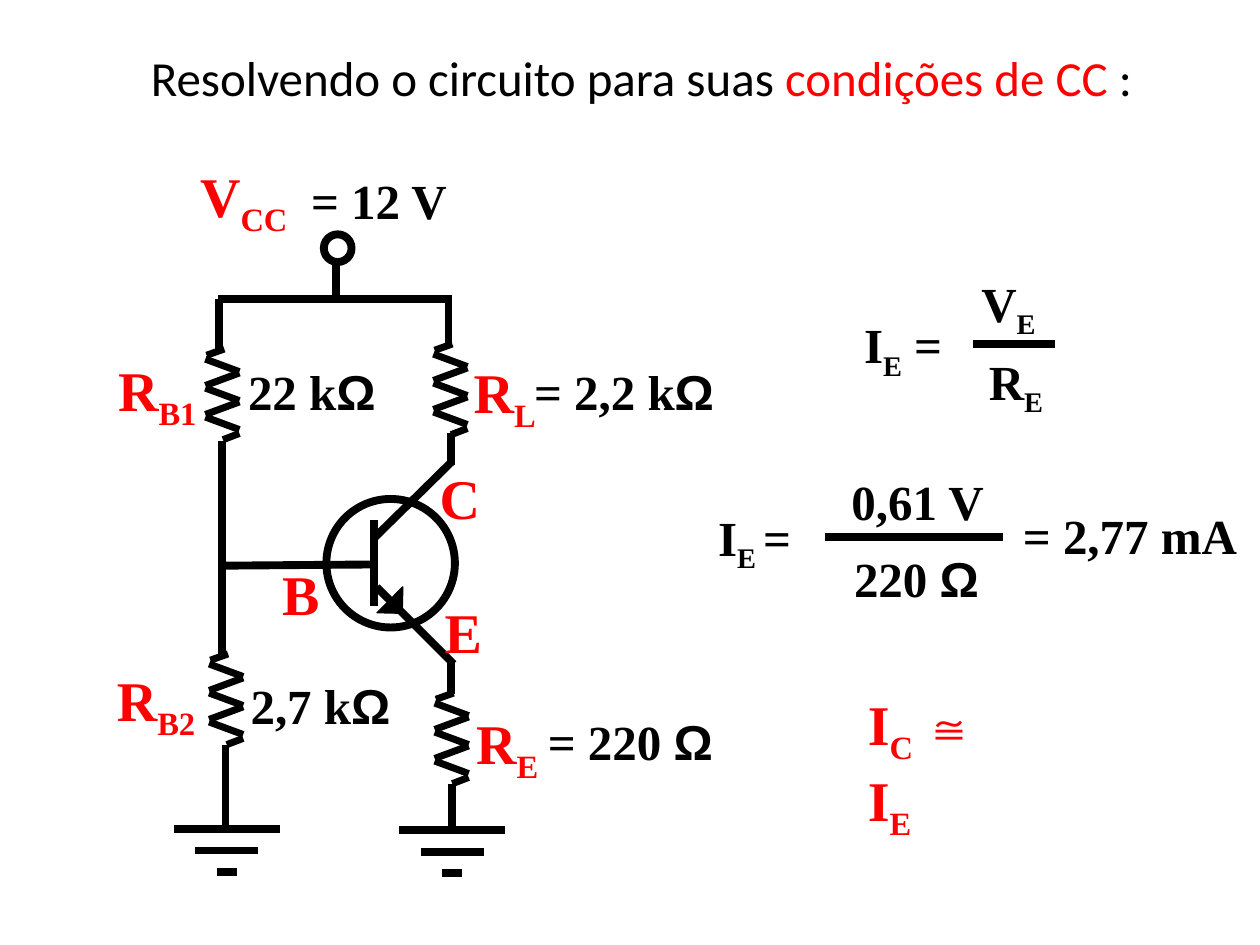
from dataclasses import dataclass

from lxml import etree
from pptx import Presentation
from pptx.dml.color import RGBColor
from pptx.enum import shapes, text
from pptx.oxml.ns import qn
from pptx.util import Inches, Pt

COLORS = {"ink": "000000", "accent": "FF0000"}
SERIF, SANS, TITLE = "Times New Roman", "Arial", "Calibri"
WIRE, ZIGZAG = 4.5, 4


@dataclass
class Run:
    text: str
    sub: bool = False
    font: str | None = None
    color: str | None = None


@dataclass
class Label:
    left: float
    top: float
    width: float
    height: float
    runs: list[Run]
    size: int = 28
    color: str = "ink"
    font: str = SERIF
    bold: bool = True
    wrap: bool = False


@dataclass
class Wire:
    x1: float
    y1: float
    x2: float
    y2: float


def rgb(name: str) -> RGBColor:
    return RGBColor.from_string(COLORS[name])


def add_line(s, wire: Wire, weight: float = WIRE) -> None:
    cx = s.shapes.add_connector(
        shapes.MSO_CONNECTOR.STRAIGHT,
        Inches(wire.x1), Inches(wire.y1), Inches(wire.x2), Inches(wire.y2))
    cx.line.color.rgb = rgb("ink")
    cx.line.width = Pt(weight)
    etree.SubElement(cx._element.spPr, qn("a:effectLst"))


def add_ring(s, left: float, top: float, size: float) -> None:
    sp = s.shapes.add_shape(shapes.MSO_SHAPE.OVAL, Inches(left), Inches(top),
                            Inches(size), Inches(size))
    sp.shadow.inherit = False
    sp.fill.background()
    sp.line.color.rgb = rgb("ink")
    sp.line.width = Pt(WIRE)


def add_emitter_arrow(s) -> None:
    sp = s.shapes.add_shape(shapes.MSO_SHAPE.RIGHT_TRIANGLE, Inches(2.99),
                            Inches(4.66), Inches(0.21), Inches(0.2))
    sp.rotation = 271.3
    sp.shadow.inherit = False
    sp.fill.solid()
    sp.fill.fore_color.rgb = rgb("ink")
    sp.line.color.rgb = rgb("ink")
    sp.line.width = Pt(0.75)


def add_resistor(s, left: float, top: float) -> None:
    """Three teeth with a short lead-in and lead-out."""
    pitch, right = 0.23, left + 0.27
    teeth = [top + 0.08 + pitch * i for i in range(3)]
    for y in teeth:
        add_line(s, Wire(right, y + 0.1, left, y), ZIGZAG)
    for y in teeth[1:]:
        add_line(s, Wire(left, y - 0.02, right, y - 0.12), ZIGZAG)
    add_line(s, Wire(left + 0.01, top + 0.05, left + 0.15, top), ZIGZAG)
    add_line(s, Wire(left + 0.14, top + 0.72, right, top + 0.67), ZIGZAG)


def add_ground(s, center: float, top: float) -> None:
    for i, width in enumerate((0.84, 0.5, 0.16)):
        y = top + 0.17 * i
        add_line(s, Wire(center - width / 2, y, center + width / 2, y))


def add_label(s, label: Label) -> None:
    tb = s.shapes.add_textbox(Inches(label.left), Inches(label.top),
                              Inches(label.width), Inches(label.height))
    tf = tb.text_frame
    tf.word_wrap = label.wrap
    tf.auto_size = text.MSO_AUTO_SIZE.SHAPE_TO_FIT_TEXT
    p = tf.paragraphs[0]
    p.font.size = Pt(label.size)
    p.font.bold = label.bold
    for run in label.runs:
        r = p.add_run()
        r.text = run.text
        r.font.size = Pt(label.size)
        r.font.bold = label.bold
        r.font.name = run.font or label.font
        r.font.color.rgb = rgb(run.color or label.color)
        if run.sub:
            r.font._element.set("baseline", "-25000")


def symbol(left: float, top: float, width: float, name: str, sub: str = "") -> Label:
    """Large red name of a component or terminal."""
    runs = [Run(name)] + ([Run(sub, sub=True)] if sub else [])
    return Label(left, top, width, 0.58, runs, size=32, color="accent")


def value(left: float, top: float, width: float, number: str, unit: str = "",
          height: float = 0.52) -> Label:
    """Black quantity, with an optional ohm sign."""
    runs = [Run(number)] + ([Run(unit, font=SANS)] if unit else [])
    return Label(left, top, width, height, runs)


def term(left: float, top: float, width: float, *runs: Run) -> Label:
    return Label(left, top, width, 0.52, list(runs))


RESISTORS = [(3.44, 2.73), (1.63, 2.77), (3.45, 5.5), (1.66, 5.19)]
GROUNDS = [(3.59, 6.59), (1.8, 6.58)]

WIRES = [
    # Transistor: emitter, base, collector, bar
    Wire(2.99, 4.66, 3.6, 5.27), Wire(2.96, 4.48, 1.74, 4.49),
    Wire(2.97, 4.27, 3.59, 3.66), Wire(2.97, 4.13, 2.97, 4.81),
    # Supply rail
    Wire(1.73, 2.37, 3.59, 2.37), Wire(2.67, 2.1, 2.67, 2.38),
    # Left branch
    Wire(1.74, 2.37, 1.74, 2.78), Wire(1.76, 3.5, 1.76, 5.19),
    Wire(1.79, 5.91, 1.79, 6.57),
    # Right branch
    Wire(3.56, 2.73, 3.56, 2.4), Wire(3.58, 3.44, 3.58, 3.69),
    Wire(3.58, 5.26, 3.58, 5.51), Wire(3.59, 6.22, 3.59, 6.6),
    # Fraction bars
    Wire(7.72, 2.73, 8.37, 2.73), Wire(6.55, 4.26, 7.96, 4.26),
]

SUB_E = Run("E", sub=True)
LABELS = [
    Label(1.1, 0.33, 8.23, 0.57,
          [Run("Resolvendo o circuito para suas "),
           Run("condições de CC ", color="accent"), Run(":")],
          font=TITLE, bold=False),
    # Component names
    symbol(0.84, 2.77, 0.87, "R", "B1"), symbol(0.83, 5.23, 0.87, "R", "B2"),
    symbol(3.66, 2.79, 0.72, "R", "L"), symbol(3.68, 5.57, 0.72, "R", "E"),
    symbol(1.49, 1.23, 0.95, "V", "CC"), symbol(3.39, 3.63, 0.52, "C"),
    symbol(2.14, 4.39, 0.5, "B"), symbol(3.43, 4.69, 0.5, "E"),
    # Component values
    value(2.37, 1.3, 1.28, "= 12 V"), value(1.87, 2.82, 1.22, "22 k", "Ω"),
    value(1.89, 5.31, 1.31, "2,7 k", "Ω", 0.57),
    value(4.14, 2.82, 1.63, "= 2,2 k", "Ω", 0.57),
    value(4.25, 5.6, 1.52, "= 220 ", "Ω"),
    # Emitter current: formula
    term(6.76, 2.45, 0.94, Run("I"), SUB_E, Run(" =")),
    term(7.69, 2.12, 0.65, Run("V"), SUB_E),
    term(7.75, 2.74, 0.65, Run("R"), SUB_E),
    # Emitter current: numbers
    term(5.6, 3.98, 0.91, Run("I"), Run("E ", sub=True), Run("=")),
    value(6.66, 3.69, 1.26, "0,61 V", height=0.57),
    value(6.68, 4.3, 1.2, "220 ", "Ω"),
    value(8.02, 3.96, 1.92, "= 2,77 mA", height=0.57),
    # Conclusion
    Label(6.79, 5.42, 1.2, 0.58,
          [Run("I"), Run("C ", sub=True), Run("≅ ", font=SANS), Run("I"), SUB_E],
          size=32, color="accent", wrap=True),
]


def main() -> None:
    prs = Presentation()
    prs.slide_width, prs.slide_height = Inches(10), Inches(7.5)
    s = prs.slides.add_slide(prs.slide_layouts[6])
    # Transistor body and supply terminal
    add_ring(s, 2.59, 3.96, 1.02)
    add_ring(s, 2.57, 1.86, 0.22)
    add_emitter_arrow(s)
    # Circuit
    for wire in WIRES:
        add_line(s, wire)
    for left, top in RESISTORS:
        add_resistor(s, left, top)
    for center, top in GROUNDS:
        add_ground(s, center, top)
    # Text
    for label in LABELS:
        add_label(s, label)
    prs.save("out.pptx")


if __name__ == "__main__":
    main()
